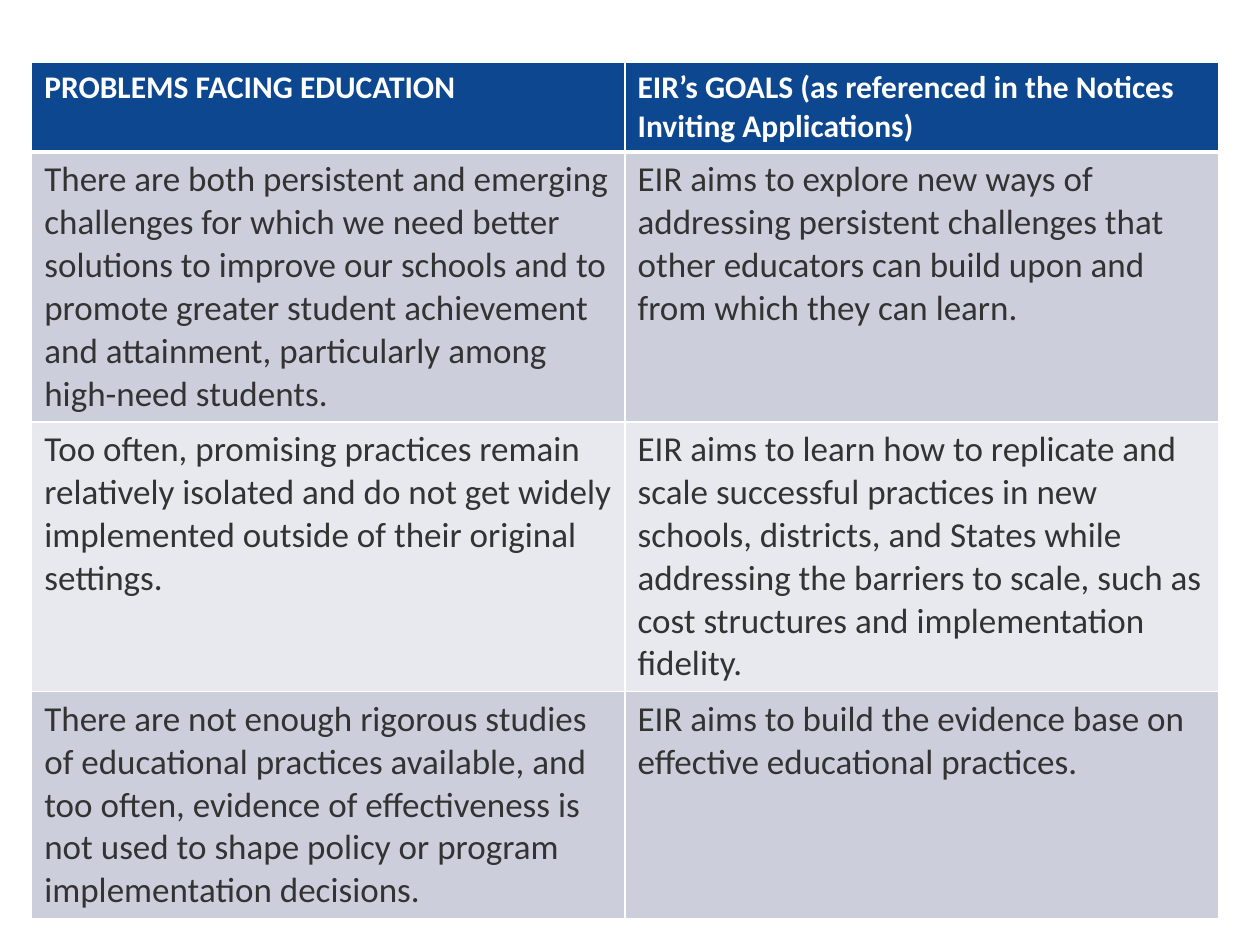
from lxml.etree import SubElement
from pptx import Presentation
from pptx.dml.color import RGBColor
from pptx.oxml.ns import qn
from pptx.util import Cm, Pt

HEADER_BLUE, BAND_DARK, BAND_LIGHT = "0C4790", "CCCFDB", "E7E9EE"
WHITE, TEXT_GREY = "FFFFFF", "333333"


def color(value):
    return RGBColor.from_string(value)


def add_border(cell, side, width):
    line = SubElement(cell._tc.get_or_add_tcPr(), qn(f"a:ln{side}"), w=str(Pt(width)))
    SubElement(SubElement(line, qn("a:solidFill")), qn("a:srgbClr"), val=WHITE)


# Problems on the left, matching goals on the right
problems_and_goals = [
    ("PROBLEMS FACING EDUCATION",
     "EIR’s GOALS (as referenced in the Notices Inviting Applications)"),
    ("There are both persistent and emerging challenges for which we need better "
     "solutions to improve our schools and to promote greater student achievement "
     "and attainment, particularly among high-need students.",
     "EIR aims to explore new ways of addressing persistent challenges that other "
     "educators can build upon and from which they can learn."),
    ("Too often, promising practices remain relatively isolated and do not get "
     "widely implemented outside of their original settings.",
     "EIR aims to learn how to replicate and scale successful practices in new "
     "schools, districts, and States while addressing the barriers to scale, such "
     "as cost structures and implementation fidelity."),
    ("There are not enough rigorous studies of educational practices available, "
     "and too often, evidence of effectiveness is not used to shape policy or "
     "program implementation decisions.",
     "EIR aims to build the evidence base on effective educational practices."),
]
row_heights = [Cm(1.7), Cm(5.44), Cm(4.62), Cm(3.45)]
column_width = Cm(11.96)

# Slide
prs = Presentation()
prs.slide_width, prs.slide_height = Cm(25.4), Cm(19.05)
slide = prs.slides.add_slide(prs.slide_layouts[6])

# Table grid
table = slide.shapes.add_table(
    len(problems_and_goals), 2, Cm(0.64), Cm(1.26), 2 * column_width, sum(row_heights)
).table
for column in table.columns:
    column.width = column_width

# Cells: blue header, then alternating bands
for row_no, (texts, height) in enumerate(zip(problems_and_goals, row_heights)):
    is_header = row_no == 0
    band = HEADER_BLUE if is_header else BAND_DARK if row_no % 2 else BAND_LIGHT
    table.rows[row_no].height = height
    for cell, text in zip(table.rows[row_no].cells, texts):
        for side in "LRTB":
            # A thick rule separates the header from the body
            thick = (is_header and side == "B") or (row_no == 1 and side == "T")
            add_border(cell, side, 3 if thick else 1)
        cell.fill.solid()
        cell.fill.fore_color.rgb = color(band)
        cell.text = text
        font = cell.text_frame.paragraphs[0].font
        font.name = "Calibri"
        font.size = Pt(18 if is_header else 20)
        font.bold = is_header
        font.color.rgb = color(WHITE if is_header else TEXT_GREY)

prs.save("out.pptx")
